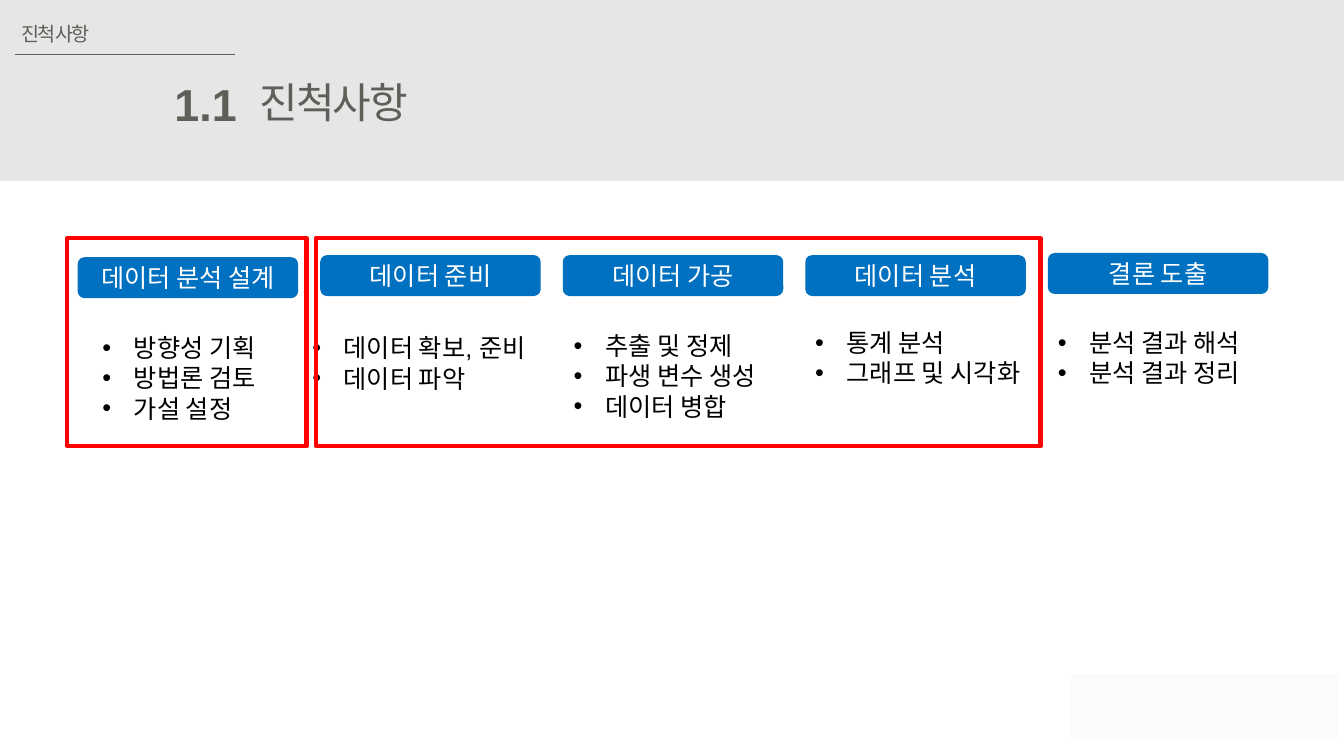
import pptx
import pptx.dml.color
import pptx.enum.shapes
import pptx.enum.text
import pptx.oxml.ns
import pptx.util
from dataclasses import dataclass
from lxml import etree

EMU_PER_PX = 9525
SHAPES = pptx.enum.shapes.MSO_SHAPE
ALIGN = pptx.enum.text.PP_ALIGN
ANCHOR = pptx.enum.text.MSO_ANCHOR
AUTO_SIZE = pptx.enum.text.MSO_AUTO_SIZE
qn = pptx.oxml.ns.qn


@dataclass(frozen=True)
class Theme:
    band: str = "E7E6E6"
    footer: str = "FBFBFB"
    heading: str = "5F5E58"
    step: str = "0070C0"
    on_step: str = "FFFFFF"
    body: str = "000000"
    highlight: str = "FF0000"
    font: str = "Arial"
    korean_font: str = "Noto Sans CJK KR"
    label_size: int = 14
    body_size: int = 18
    title_size: int = 30
    number_size: int = 32


def px(length):
    return pptx.util.Emu(length * EMU_PER_PX)


def rgb(color):
    return pptx.dml.color.RGBColor.from_string(color)


class SlideBuilder:
    def __init__(self, slide, theme):
        self.slide = slide
        self.theme = theme

    def format_text(self, text_frame, size, color, font=None, bold=False,
                    align=ALIGN.LEFT, spacing=None):
        for paragraph in text_frame.paragraphs:
            paragraph.alignment = align
            for run in paragraph.runs:
                run.font.size = pptx.util.Pt(size)
                run.font.bold = bold
                run.font.color.rgb = rgb(color)
                run.font.name = font or self.theme.font
                properties = run.font._element if hasattr(run.font, "_element") else run._r.get_or_add_rPr()
                etree.SubElement(properties, qn("a:ea"), typeface=self.theme.korean_font)
                if spacing is not None:
                    properties.set("spc", str(spacing))

    def box(self, left, top, width, height, kind=SHAPES.RECTANGLE, fill=None, line=None):
        shape = self.slide.shapes.add_shape(kind, px(left), px(top), px(width), px(height))
        shape.shadow.inherit = False
        if fill:
            shape.fill.solid()
            shape.fill.fore_color.rgb = rgb(fill)
        else:
            shape.fill.background()
        if line:
            shape.line.color.rgb = rgb(line)
            shape.line.width = pptx.util.Pt(3)
        else:
            shape.line.fill.background()
        return shape

    def rule(self, left, top, right):
        line = self.slide.shapes.add_connector(
            pptx.enum.shapes.MSO_CONNECTOR.STRAIGHT, px(left), px(top), px(right), px(top))
        line.line.color.rgb = rgb(self.theme.heading)
        line.line.width = pptx.util.Pt(0.5)
        etree.SubElement(line.element.spPr, qn("a:effectLst"))

    def text(self, content, left, top, width, height, size, color, wrap=False, **style):
        shape = self.slide.shapes.add_textbox(px(left), px(top), px(width), px(height))
        shape.text_frame.word_wrap = wrap
        shape.text_frame.auto_size = AUTO_SIZE.SHAPE_TO_FIT_TEXT
        shape.text_frame.text = content
        self.format_text(shape.text_frame, size, color, **style)
        return shape

    def title(self, content, left, top, width, height):
        title = self.slide.shapes.title
        title.left, title.top, title.width, title.height = map(px, (left, top, width, height))
        # Bring the title in front of the header band
        title.element.getparent().append(title.element)
        frame = title.text_frame
        frame.text = content
        frame.word_wrap = False
        frame.auto_size = AUTO_SIZE.SHAPE_TO_FIT_TEXT
        frame.vertical_anchor = ANCHOR.TOP
        self.format_text(frame, self.theme.title_size, self.theme.heading,
                         font=self.theme.korean_font, spacing=-150)

    def step(self, name, left, top):
        shape = self.box(left, top, 210, 39, SHAPES.ROUNDED_RECTANGLE, self.theme.step)
        shape.text_frame.text = name
        shape.text_frame.vertical_anchor = ANCHOR.MIDDLE
        self.format_text(shape.text_frame, self.theme.body_size, self.theme.on_step,
                         align=ALIGN.CENTER)

    def bullets(self, items, left, top, width):
        shape = self.text("\n".join(items), left, top, width, 10 + 29 * len(items),
                          self.theme.body_size, self.theme.body, wrap=True)
        for paragraph in shape.text_frame.paragraphs:
            properties = paragraph._p.get_or_add_pPr()
            properties.set("marL", str(px(30)))
            properties.set("indent", str(-px(30)))
            etree.SubElement(properties, qn("a:buFont"), typeface=self.theme.font)
            etree.SubElement(properties, qn("a:buChar"), char="•")


# Step name, step top, then bullet left, top, width and items
STEPS = [
    ("데이터 분석 설계", 245, 88, 312, 181, ["방향성 기획", "방법론 검토", "가설 설정"]),
    ("데이터 준비", 243, 288, 312, 244, ["데이터 확보, 준비", "데이터 파악"]),
    ("데이터 가공", 243, 537, 310, 210, ["추출 및 정제", "파생 변수 생성", "데이터 병합"]),
    ("데이터 분석", 243, 767, 307, 231, ["통계 분석", "그래프 및 시각화"]),
    ("결론 도출", 241, 998, 307, 210, ["분석 결과 해석", "분석 결과 정리"]),
]
FIRST_STEP_LEFT, STEP_PITCH = 74, 231


def main():
    presentation = pptx.Presentation()
    presentation.slide_width, presentation.slide_height = px(1280), px(720)
    theme = Theme()
    slide = presentation.slides.add_slide(presentation.slide_layouts.get_by_name("Title Only"))
    builder = SlideBuilder(slide, theme)

    # Header and footer
    builder.box(0, 0, 1280, 172, fill=theme.band)
    builder.rule(14, 52, 224)
    builder.text("진척 사항", 11, 16, 90, 33, theme.label_size, theme.heading, spacing=-150)
    builder.text("1.1", 156, 68, 79, 61, theme.number_size, theme.heading,
                 bold=True, align=ALIGN.RIGHT)
    builder.title("진척사항", 238, 68, 173, 59)
    builder.box(1020, 642, 255, 62, fill=theme.footer)

    # Analysis steps
    for index, (name, step_top, left, top, width, items) in enumerate(STEPS):
        builder.step(name, FIRST_STEP_LEFT + index * STEP_PITCH, step_top)
        builder.bullets(items, left, top, width)

    # Highlight frames
    for left, width in ((301, 690), (64, 228)):
        builder.box(left, 227, width, 198, line=theme.highlight)

    presentation.save("out.pptx")


if __name__ == "__main__":
    main()
